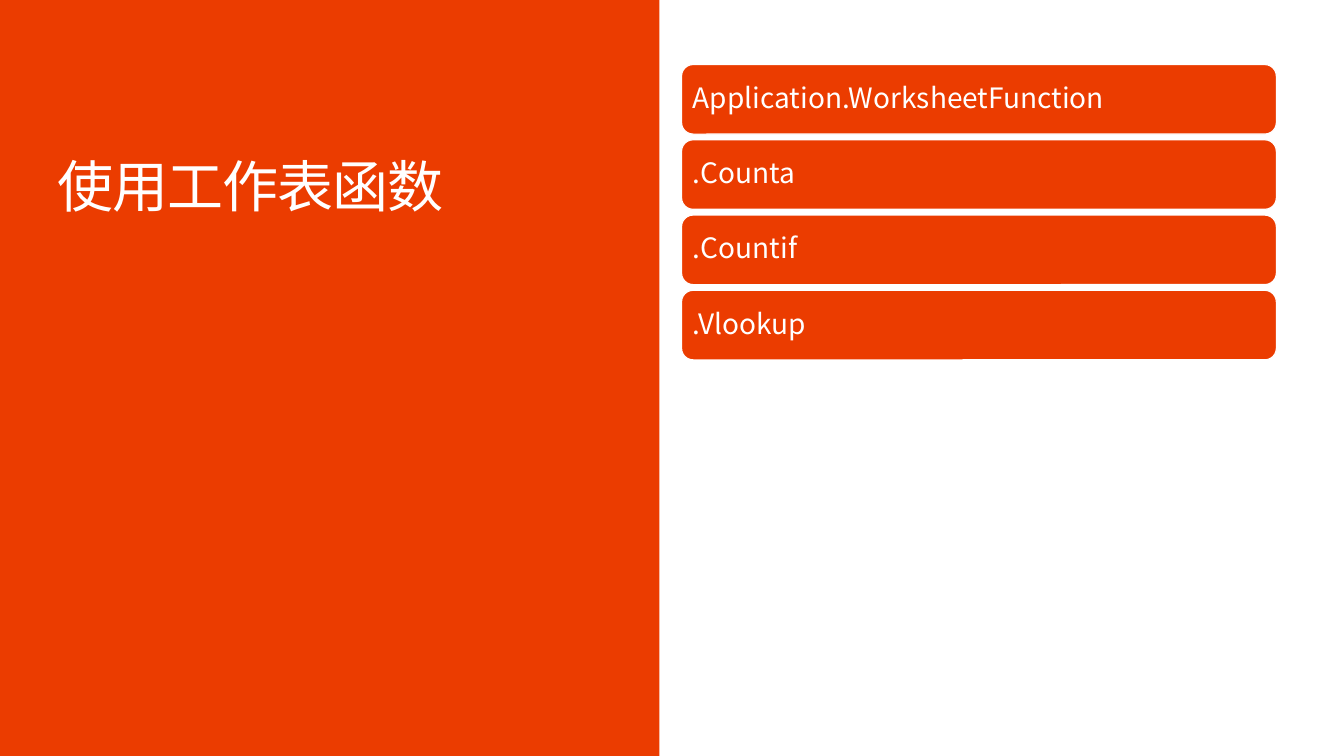
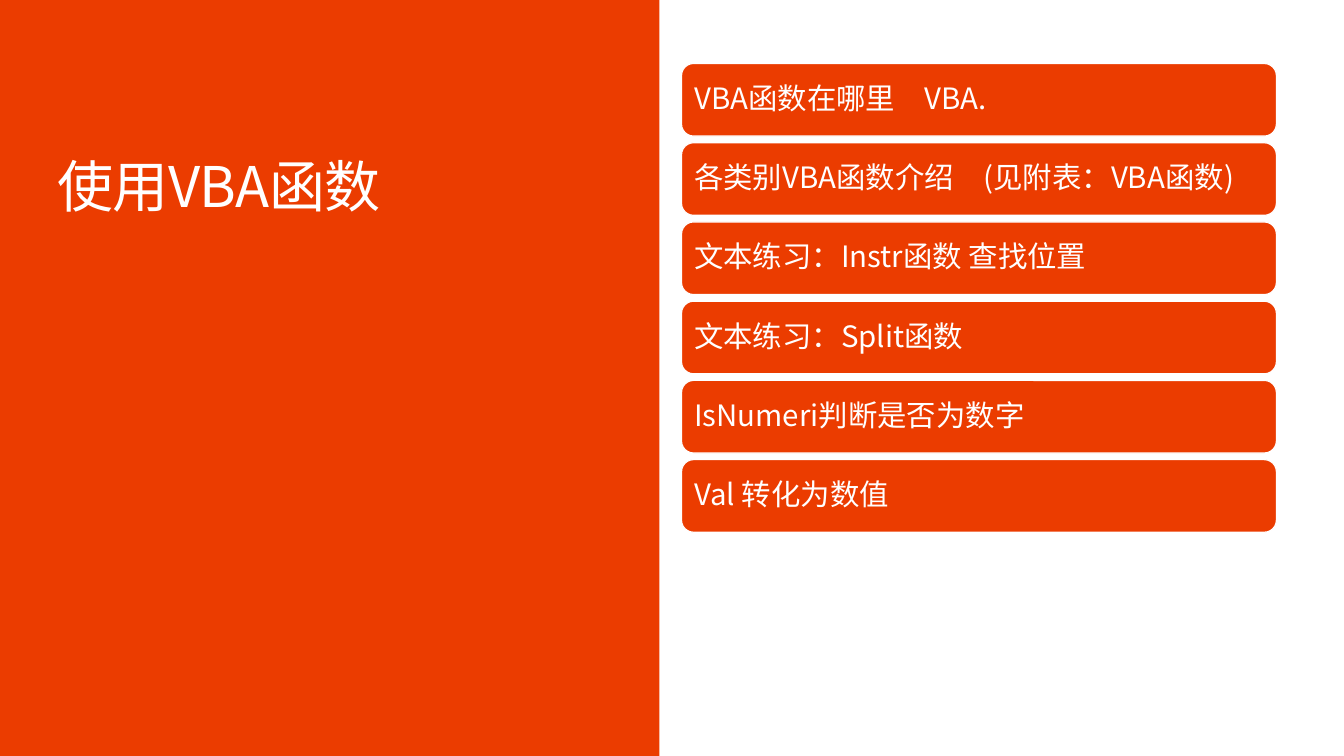
"""Build two slides that list worksheet and VBA functions beside a colour panel."""
from dataclasses import dataclass

from lxml import etree
from pptx import Presentation
from pptx.dml.color import RGBColor
from pptx.enum import shapes, text
from pptx.oxml.ns import qn
from pptx.slide import Slide, SlideLayout
from pptx.util import Inches, Pt


@dataclass(frozen=True)
class Theme:
    accent: RGBColor = RGBColor(0xEB, 0x3C, 0x00)
    white: RGBColor = RGBColor(0xFF, 0xFF, 0xFF)
    font: str = "Noto Sans CJK SC"
    title_size: float = 40
    title_spacing: float = -0.7
    outline: float = 0.85
    line_spacing: float = 0.9


@dataclass(frozen=True)
class BarStack:
    top: float
    bottom: float
    height: float
    inset: float
    size: float
    labels: tuple[str, ...]
    left: float = 6.76
    width: float = 5.9

    @property
    def pitch(self) -> float:
        return (self.bottom - self.top - self.height) / (len(self.labels) - 1)


@dataclass(frozen=True)
class Page:
    title: str
    bars: BarStack


THEME = Theme()
PAGES = (
    Page("使用工作表函数", BarStack(
        0.64, 3.57, 0.69, 0.08, 20,
        ("Application.WorksheetFunction", ".Counta", ".Countif", ".Vlookup"))),
    Page("使用VBA函数", BarStack(
        0.63, 5.28, 0.72, 0.09, 21,
        ("VBA函数在哪里　VBA.", "各类别VBA函数介绍　(见附表：VBA函数)",
         "文本练习：Instr函数 查找位置", "文本练习：Split函数",
         "IsNumeri判断是否为数字", "Val 转化为数值"))),
)


def write(sp, content: str, size: float, inset: float, anchor, spacing: float = 0) -> None:
    tf = sp.text_frame
    tf.text = content
    tf.word_wrap = True
    tf.auto_size = text.MSO_AUTO_SIZE.NONE
    tf.vertical_anchor = anchor
    tf.margin_left = tf.margin_top = tf.margin_right = tf.margin_bottom = Inches(inset)
    p = tf.paragraphs[0]
    p.alignment = text.PP_ALIGN.LEFT
    p.line_spacing = THEME.line_spacing
    p.font.name = THEME.font
    p.font.size = Pt(size)
    p.font.color.rgb = THEME.white
    for props in sp.element.iter(qn("a:defRPr")):
        props.set("spc", str(round(spacing * 100)))
        latin = props.find(qn("a:latin"))
        latin.addnext(etree.Element(qn("a:ea"), typeface=THEME.font))


def add_block(slide: Slide, kind, left: float, top: float, width: float, height: float):
    sp = slide.shapes.add_shape(kind, Inches(left), Inches(top), Inches(width), Inches(height))
    sp.shadow.inherit = False
    sp.fill.solid()
    sp.fill.fore_color.rgb = THEME.accent
    sp.line.fill.background()
    return sp


def set_up_layout(layout: SlideLayout, slide: Slide) -> None:
    panel = add_block(slide, shapes.MSO_SHAPE.RECTANGLE, -0.01, 0, 6.55, 7.5)
    layout.shapes.element.insert(2, panel.element)
    title = next(ph for ph in layout.placeholders
                 if ph.placeholder_format.type == shapes.PP_PLACEHOLDER.TITLE)
    title.left, title.top = Inches(0.57), Inches(1.58)
    title.width, title.height = Inches(5.72), Inches(1.82)


def add_bars(slide: Slide, bars: BarStack) -> None:
    for i, label in enumerate(bars.labels):
        sp = add_block(slide, shapes.MSO_SHAPE.ROUNDED_RECTANGLE, bars.left,
                       bars.top + i * bars.pitch, bars.width, bars.height)
        sp.line.color.rgb = THEME.white
        sp.line.width = Pt(THEME.outline)
        write(sp, label, bars.size, bars.inset, text.MSO_ANCHOR.MIDDLE)


def main() -> None:
    prs = Presentation()
    prs.slide_width, prs.slide_height = Inches(13.33), Inches(7.5)
    layout = prs.slide_layouts.get_by_name("Title Only")
    slides = [prs.slides.add_slide(layout) for _ in PAGES]
    set_up_layout(layout, slides[0])
    for slide, page in zip(slides, PAGES):
        write(slide.shapes.title, page.title, THEME.title_size, 0,
              text.MSO_ANCHOR.TOP, THEME.title_spacing)
        add_bars(slide, page.bars)
    prs.save("out.pptx")


if __name__ == "__main__":
    main()
